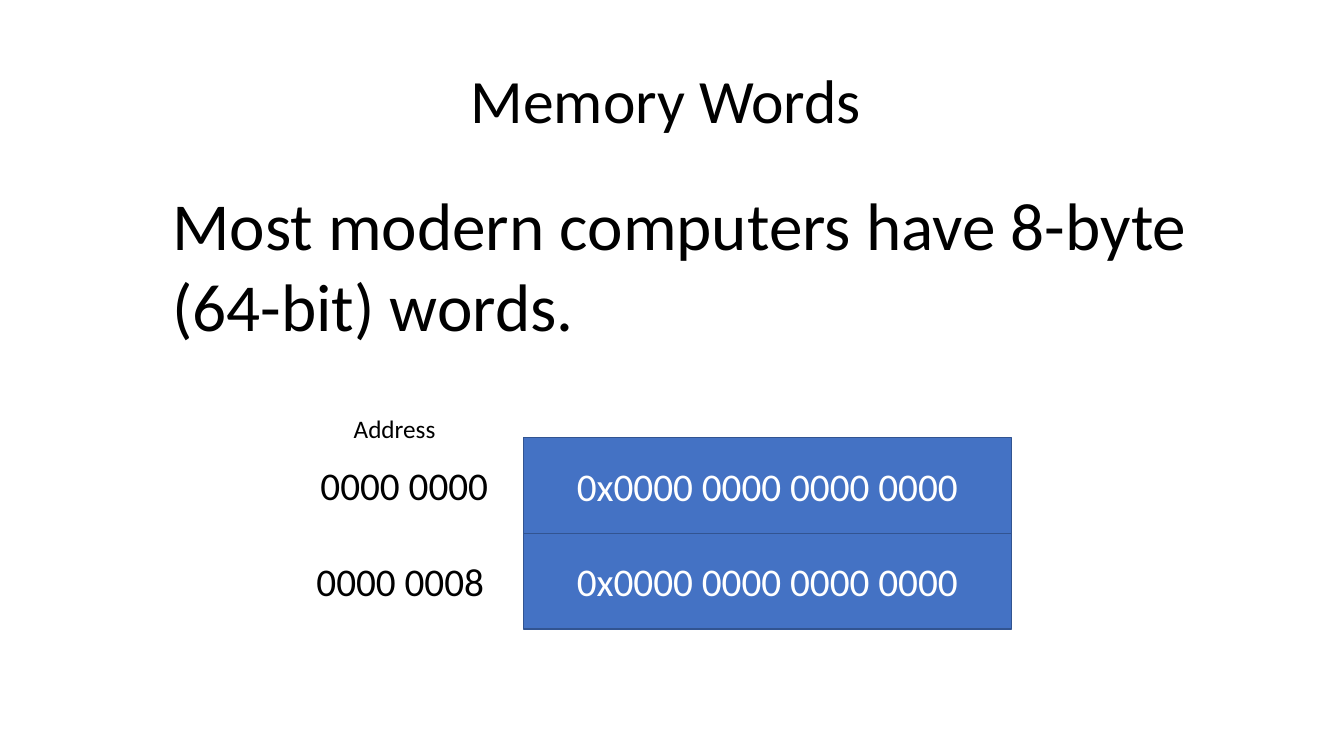
from pptx import Presentation
from pptx.dml.color import RGBColor
from pptx.enum.shapes import MSO_SHAPE
from pptx.enum.text import MSO_ANCHOR, PP_ALIGN
from pptx.util import Inches, Pt

BLACK = RGBColor(0x00, 0x00, 0x00)
WHITE = RGBColor(0xFF, 0xFF, 0xFF)
BLUE = RGBColor(0x44, 0x72, 0xC4)
NAVY = RGBColor(0x32, 0x54, 0x91)
FONT = "Calibri"

WORD_LEFT, WORD_TOP = 5.19, 4.34
WORD_WIDTH, WORD_HEIGHT = 4.84, 0.95
LABEL_DROP, LABEL_HEIGHT = 0.19, 0.57

WORDS = [
    ("0000 0000", 3.08, "0x0000 0000 0000 0000"),
    ("0000 0008", 3.04, "0x0000 0000 0000 0000"),
]


def write(sp, text, size, color=BLACK, align=PP_ALIGN.LEFT,
          anchor=MSO_ANCHOR.TOP, wrap=True, spacing=1.0):
    tf = sp.text_frame
    tf.word_wrap = wrap
    tf.vertical_anchor = anchor
    p = tf.paragraphs[0]
    p.alignment = align
    p.line_spacing = spacing
    r = p.add_run()
    r.text = text
    r.font.name = FONT
    r.font.size = Pt(size)
    r.font.color.rgb = color


def add_text(s, box, text, size, **style):
    sp = s.shapes.add_textbox(*map(Inches, box))
    write(sp, text, size, **style)


def add_word(s, row, address, address_left, value):
    top = WORD_TOP + row * WORD_HEIGHT
    sp = s.shapes.add_shape(
        MSO_SHAPE.RECTANGLE,
        *map(Inches, (WORD_LEFT, top, WORD_WIDTH, WORD_HEIGHT)))
    sp.shadow.inherit = False
    sp.fill.solid()
    sp.fill.fore_color.rgb = BLUE
    sp.line.color.rgb = NAVY
    sp.line.width = Pt(1)
    write(sp, value, 28, WHITE, PP_ALIGN.CENTER, MSO_ANCHOR.MIDDLE)
    label = (address_left, top + LABEL_DROP,
             WORD_LEFT - address_left, LABEL_HEIGHT)
    add_text(s, label, address, 28)


def main():
    prs = Presentation()
    prs.slide_width, prs.slide_height = Inches(13.33), Inches(7.5)
    s = prs.slides.add_slide(prs.slide_layouts[6])
    add_text(s, (0, 0.3, 13.21, 1.45), "Memory Words", 44,
             align=PP_ALIGN.CENTER, anchor=MSO_ANCHOR.MIDDLE, spacing=0.9)
    add_text(s, (1.61, 1.77, 10.64, 1.72),
             "Most modern computers have 8-byte (64-bit) words.", 48)
    for row, word in enumerate(WORDS):
        add_word(s, row, *word)
    add_text(s, (3.41, 4.05, 2.33, 0.4), "Address", 18, wrap=False)
    prs.save("out.pptx")


if __name__ == "__main__":
    main()
